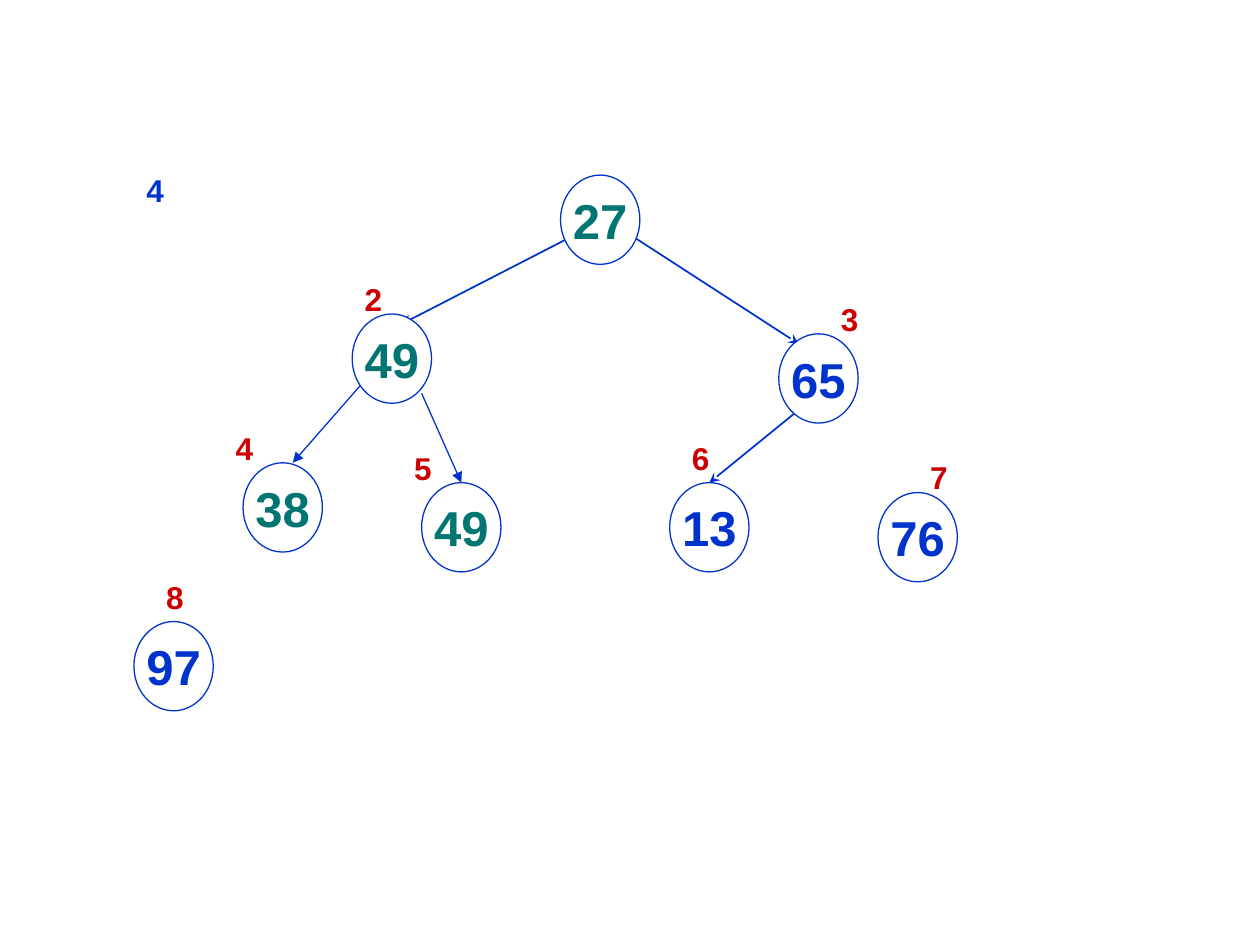
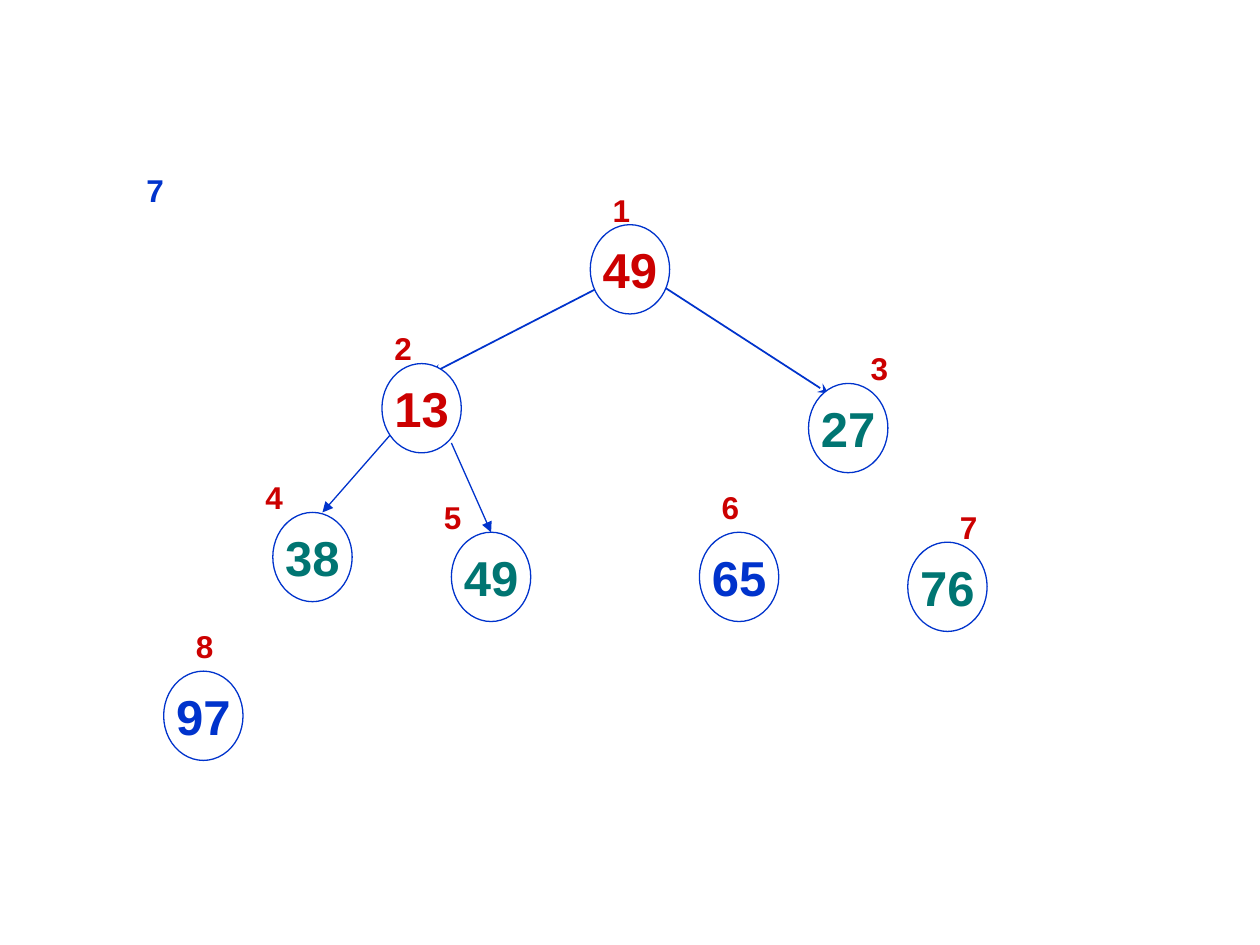
import pptx
import pptx.util
import pptx.dml.color
import pptx.enum.shapes
import pptx.enum.text
import pptx.oxml.ns
import lxml.etree

BLUE = pptx.dml.color.RGBColor(0x00, 0x33, 0xCC)
RED = pptx.dml.color.RGBColor(0xCC, 0x00, 0x00)
GREEN = pptx.dml.color.RGBColor(0x00, 0x75, 0x72)
WHITE = pptx.dml.color.RGBColor(0xFF, 0xFF, 0xFF)
FONT = "Arial"
COLS = 127
NODE = (8, 9)

SPOTS = [(0, 0), (-21, 14), (22, 16), (-32, 29), (-14, 31), (11, 31), (32, 32), (-43, 45)]
TAGS = [(1, -4, 4.3, 5), (0, -4, 4, 5), (5, -4, 5.3, 5), (-2, -4, 4.3, 5),
        (-2, -4, 4, 5), (1, -9, 4.6, 9), (4, -4, 4.3, 5), (2, -5, 4.3, 5)]
EDGES = {
    2: ((1.5, 6), (-16, 15), 1, "stealth"),
    3: ((7, 6), (24, 17), 1, "stealth"),
    4: ((-20, 21), (-27, 29), 0.75, "triangle"),
    5: ((-14, 22), (-10, 31), 0.75, "triangle"),
    6: ((23.6, 24), (15, 31), 1, "stealth"),
}
TREES = [
    dict(step="4", root=(56.5, 17.65), links=(2, 3, 4, 5, 6), tags=range(2, 9),
         nodes=[("27", GREEN), ("49", GREEN), ("65", BLUE), ("38", GREEN),
                ("49", GREEN), ("13", BLUE), ("76", BLUE), ("97", BLUE)]),
    dict(step="7", root=(59.5, 22.65), links=(2, 3, 4, 5), tags=range(1, 9),
         nodes=[("49", RED), ("13", RED), ("27", GREEN), ("38", GREEN),
                ("49", GREEN), ("65", BLUE), ("76", GREEN), ("97", BLUE)]),
]


def write(frame, text, size=18, color=RED, align="LEFT", anchor="BOTTOM", wrap=True):
    """Put one bold line of text into a frame."""
    frame.word_wrap = wrap
    frame.vertical_anchor = getattr(pptx.enum.text.MSO_ANCHOR, anchor)
    para = frame.paragraphs[0]
    para.alignment = getattr(pptx.enum.text.PP_ALIGN, align)
    run = para.add_run()
    run.text = text
    run.font.name = FONT
    run.font.size = pptx.util.Pt(size)
    run.font.bold = True
    run.font.color.rgb = color


class Board:
    """Draws heap trees on a square grid of 127 columns."""

    def __init__(self, deck):
        self.deck = deck
        self.unit = deck.slide_width / COLS
        self.slide = None

    def start(self):
        """Open a blank slide."""
        self.slide = self.deck.slides.add_slide(self.deck.slide_layouts[6])

    def grid(self, *cells):
        """Turn grid counts into lengths."""
        return [pptx.util.Emu(round(cell * self.unit)) for cell in cells]

    def label(self, box, text, **style):
        """Add a text box."""
        write(self.slide.shapes.add_textbox(*self.grid(*box)).text_frame, text, **style)

    def node(self, left, top, text, color):
        """Add a round tree node."""
        oval = self.slide.shapes.add_shape(
            pptx.enum.shapes.MSO_SHAPE.OVAL, *self.grid(left, top, *NODE))
        oval.shadow.inherit = False
        oval.fill.solid()
        oval.fill.fore_color.rgb = WHITE
        oval.line.color.rgb = BLUE
        oval.line.width = pptx.util.Pt(0.75)
        write(oval.text_frame, text, size=28, color=color,
              align="CENTER", anchor="MIDDLE", wrap=False)

    def arrow(self, start, end, width, head):
        """Add a straight arrow."""
        link = self.slide.shapes.add_connector(
            pptx.enum.shapes.MSO_CONNECTOR.STRAIGHT, *self.grid(*start, *end))
        link.line.color.rgb = BLUE
        link.line.width = pptx.util.Pt(width)
        qn = pptx.oxml.ns.qn
        props = link._element.spPr
        lxml.etree.SubElement(props.find(qn("a:ln")), qn("a:tailEnd"), type=head)
        lxml.etree.SubElement(props, qn("a:effectLst"))

    def tree(self, step, root, links, tags, nodes):
        """Draw one step of the heap sort."""
        self.start()
        x, y = root
        for key in links:
            (ax, ay), (bx, by), width, head = EDGES[key]
            self.arrow((x + ax, y + ay), (x + bx, y + by), width, head)
        for tag in tags:
            col, row = SPOTS[tag - 1]
            dx, dy, wide, high = TAGS[tag - 1]
            self.label((x + col + dx, y + row + dy, wide, high), str(tag))
        for (col, row), (text, color) in zip(SPOTS, nodes):
            self.node(x + col, y + row, text, color)
        self.label((13.5, 16.65, 19, 5), step, color=BLUE)


def main():
    """Build and save the deck."""
    deck = pptx.Presentation()
    deck.slide_width = pptx.util.Inches(10)
    deck.slide_height = pptx.util.Inches(7.5)
    board = Board(deck)
    for tree in TREES:
        board.tree(**tree)
    deck.save("out.pptx")


if __name__ == "__main__":
    main()
